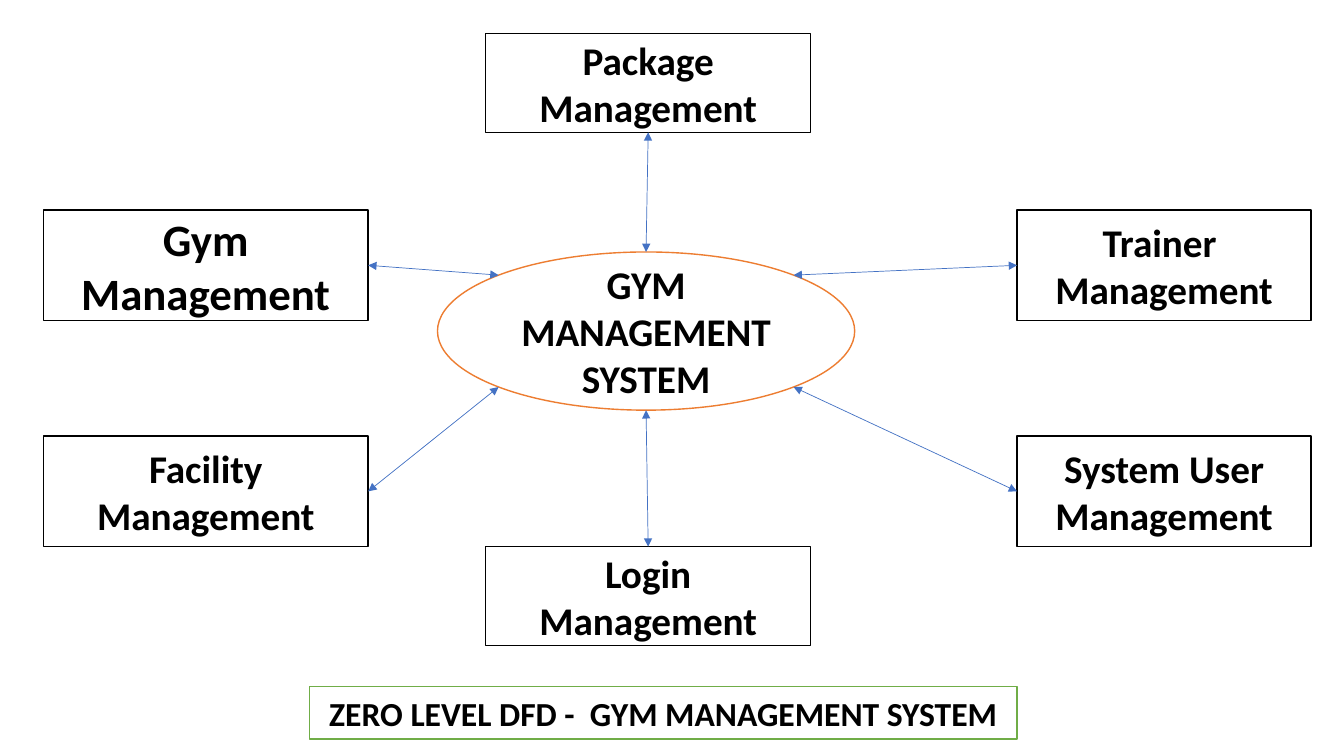
from dataclasses import dataclass
from math import sqrt
from lxml.etree import SubElement
from pptx import Presentation
from pptx.dml.color import RGBColor as RGB
from pptx.enum.shapes import MSO_CONNECTOR as Link, MSO_SHAPE as Shape
from pptx.enum.text import MSO_ANCHOR as Anchor, PP_ALIGN as Align
from pptx.oxml.ns import qn
from pptx.util import Pt


@dataclass(frozen=True)
class Theme:
    font: str = "Calibri"
    paper: RGB = RGB(255, 255, 255)
    ink: RGB = RGB(0, 0, 0)
    core: RGB = RGB(0xED, 0x7D, 0x31)
    flow: RGB = RGB(0x44, 0x72, 0xC4)
    title: RGB = RGB(0x70, 0xAD, 0x47)
    body: int = 28
    large: int = 32
    small: int = 24


THEME = Theme()
# Connection sites of a rectangle
TOP, LEFT, BOTTOM, RIGHT = range(4)


def add_node(slide, box, text, line=THEME.ink, size=THEME.body, kind=Shape.RECTANGLE):
    """Draw an outlined shape with centred bold text."""
    node = slide.shapes.add_shape(kind, *map(Pt, box))
    node.shadow.inherit = False
    node.fill.solid()
    node.fill.fore_color.rgb = THEME.paper
    node.line.color.rgb = line
    node.line.width = Pt(1)
    frame = node.text_frame
    frame.text = text
    frame.word_wrap = True
    frame.vertical_anchor = Anchor.MIDDLE
    for para in frame.paragraphs:
        para.alignment = Align.CENTER
        for run in para.runs:
            font = run.font
            font.name, font.size, font.bold = THEME.font, Pt(size), True
            font.color.rgb = THEME.ink
    return node


def add_flow(slide, node, site, core, across, down):
    """Link a site of node to the rim of core in the direction (across, down)."""
    reach = sqrt(across ** 2 + down ** 2)
    x = core.left + core.width / 2 * (1 + across / reach)
    y = core.top + core.height / 2 * (1 + down / reach)
    flow = slide.shapes.add_connector(Link.STRAIGHT, 0, 0, int(x), int(y))
    flow.begin_connect(node, site)
    flow.line.color.rgb = THEME.flow
    flow.line.width = Pt(0.5)
    line = flow.line._get_or_add_ln()
    for end in ("a:headEnd", "a:tailEnd"):
        SubElement(line, qn(end), type="triangle")
    SubElement(flow._element.spPr, qn("a:effectLst"))


def add_diagram(slide, box):
    """Place the system in the middle and its six modules around it."""
    left, top, width, height = box
    core = add_node(slide, (left + 281.5, top + 156, 298, 113),
                    "GYM\vMANAGEMENT\nSYSTEM", THEME.core, kind=Shape.OVAL)
    side, mid, tall, flat = 232, 316, 79, 70.5
    east = 210
    upper, lower = top + 126, top + 287.5
    right = left + width - east
    modules = (
        ("Package\nManagement", (left + mid, top, side, flat),
         THEME.body, BOTTOM, 0, -1),
        ("Trainer \nManagement", (right, upper, east, tall),
         THEME.body, LEFT, 1, -1),
        ("System User\vManagement", (right, lower, east, tall),
         THEME.body, LEFT, 1, 1),
        ("Login\vManagement", (left + mid, top + height - flat, side, flat),
         THEME.body, TOP, 0, 1),
        ("Facility\vManagement", (left, lower, side, tall),
         THEME.body, RIGHT, -1, 1),
        ("Gym\vManagement", (left, upper, side, tall),
         THEME.large, RIGHT, -1, -1),
    )
    for text, place, size, site, across, down in modules:
        node = add_node(slide, place, text, size=size)
        add_flow(slide, node, site, core, across, down)


def add_title(slide, box):
    add_node(slide, box, "ZERO LEVEL DFD -  GYM MANAGEMENT SYSTEM",
             THEME.title, THEME.small)


def main():
    deck = Presentation()
    deck.slide_width, deck.slide_height = Pt(960), Pt(540)
    slide = deck.slides.add_slide(deck.slide_layouts[6])
    add_diagram(slide, (31, 24, 905.5, 437))
    add_title(slide, (221, 490.5, 505.5, 37.5))
    deck.save("out.pptx")


if __name__ == "__main__":
    main()
